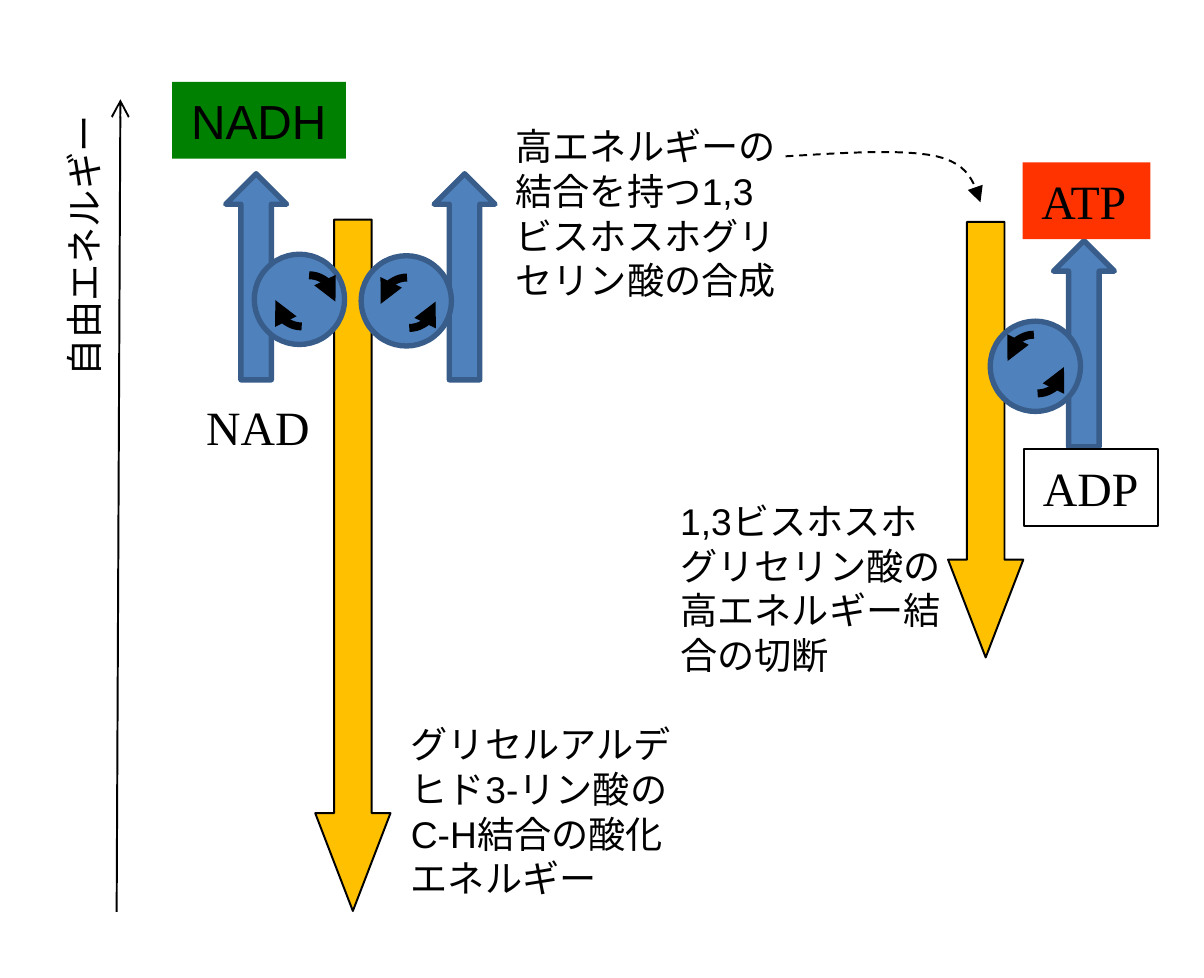
"""Build a slide on free energy coupling between NADH, ATP and glycolysis."""
from lxml import etree
from pptx import Presentation
from pptx import util as u
from pptx.dml.color import RGBColor
from pptx.enum import dml, lang, shapes, text
from pptx.oxml import ns

BLACK = RGBColor(0x00, 0x00, 0x00)
BLUE = RGBColor(0x4F, 0x81, 0xBD)
NAVY = RGBColor(0x38, 0x5D, 0x8A)
AMBER = RGBColor(0xFF, 0xC0, 0x00)
GREEN = RGBColor(0x00, 0x80, 0x00)
RED = RGBColor(0xFF, 0x33, 0x00)

SLIDE_SIZE = (16, 13)
AXIS = ((1.55, 12.12), (1.6, 1.32))
AXIS_TITLE = ("自由エネルギー", -1.08, 2.62, 4.4, 0.86)

RISE_SIZE = (0.81, 2.74)
RISES = [(14, 3.2), (3, 2.31), (5.77, 2.31)]
DROPS = [(4.19, 2.92, 1, 9.19), (12.6, 2.95, 1, 5.79)]

WHEEL_RADIUS = 0.6
ARC_RADIUS = 0.35
WHEELS = [
    {"center": (3.98, 3.98), "upper": (4.11, 4.01), "lower": (4.01, 3.99), "clockwise": True},
    {"center": (5.4, 4), "upper": (5.41, 4.04), "lower": (5.44, 4.01), "clockwise": False},
    {"center": (13.76, 4.87), "upper": (13.74, 4.8), "lower": (13.79, 4.88), "clockwise": False},
]

NOTE_SIZE = (3.99, 2.64)
NOTES = [
    ("グリセルアルデヒド3-リン酸のC-H結合の酸化エネルギー", 5.21, 9.47),
    ("高エネルギーの結合を持つ1,3ビスホスホグリセリン酸の合成", 6.6, 1.52),
    ("1,3ビスホスホグリセリン酸の高エネルギー結合の切断", 8.79, 6.5),
]

LABEL_HEIGHT = 1.02
LABELS = [
    ("NADH", "Arial", 2.29, 1.09, 2.31, GREEN, None),
    ("NAD", "Times New Roman", 2.49, 5.16, 1.88, None, None),
    ("ADP", "Times New Roman", 13.61, 5.97, 1.78, None, BLACK),
    ("ATP", "Times New Roman", 13.59, 2.16, 1.7, RED, None),
]

POINTER = [
    ((10.44, 2.08), (11.23, 2.03), (12.01, 1.98), (12.45, 2.08)),
    ((12.45, 2.08), (12.88, 2.18), (12.95, 2.44), (13.03, 2.69)),
]
POINTER_STEPS = 12

NOTE_FONT = {"name": "Arial", "size": u.Pt(14)}
COMMON_FONT = {"language_id": lang.MSO_LANGUAGE_ID.JAPANESE}


def lengths(*values):
    return [u.Cm(value) for value in values]


def set_line(shape, color, width):
    shape.line.color.rgb = color
    shape.line.width = u.Pt(width)


def add_arrowhead(shape, end, kind):
    line = shape.line._get_or_add_ln()
    etree.SubElement(line, ns.qn(f"a:{end}"), type=kind)


def add_figure(slide, kind, box, fill, color, width, adjustments=()):
    shape = slide.shapes.add_shape(kind, *lengths(*box))
    shape.shadow.inherit = False
    for index, value in enumerate(adjustments):
        shape.adjustments[index] = value
    if fill is None:
        shape.fill.background()
    else:
        shape.fill.solid()
        shape.fill.fore_color.rgb = fill
    set_line(shape, color, width)
    return shape


def add_text(slide, content, box, font, wrap=True):
    shape = slide.shapes.add_textbox(*lengths(*box))
    frame = shape.text_frame
    frame.word_wrap = wrap
    frame.auto_size = text.MSO_AUTO_SIZE.SHAPE_TO_FIT_TEXT
    run = frame.paragraphs[0].add_run()
    run.text = content
    for name, value in {**COMMON_FONT, **font}.items():
        setattr(run.font, name, value)
    run.font.color.rgb = BLACK
    return shape


def around(center, radius):
    return (center[0] - radius, center[1] - radius, 2 * radius, 2 * radius)


def add_wheel(slide, wheel):
    kinds = shapes.MSO_SHAPE
    add_figure(slide, kinds.OVAL, around(wheel["center"], WHEEL_RADIUS), BLUE, NAVY, 2)
    clockwise = wheel["clockwise"]
    starts = {"upper": 270 if clockwise else 180, "lower": 90 if clockwise else 0}
    for part, start in starts.items():
        angles = [degrees * 0.6 for degrees in (start, (start + 90) % 360)]
        arc = add_figure(slide, kinds.ARC, around(wheel[part], ARC_RADIUS),
                         None, BLACK, 3, angles)
        add_arrowhead(arc, "tailEnd" if clockwise else "headEnd", "triangle")


def bezier_point(curve, t):
    weights = ((1 - t) ** 3, 3 * t * (1 - t) ** 2, 3 * t ** 2 * (1 - t), t ** 3)
    return tuple(u.Cm(sum(w * point[axis] for w, point in zip(weights, curve)))
                 for axis in (0, 1))


def add_pointer(slide):
    points = [bezier_point(curve, step / POINTER_STEPS)
              for curve in POINTER for step in range(1, POINTER_STEPS + 1)]
    builder = slide.shapes.build_freeform(*lengths(*POINTER[0][0]))
    builder.add_line_segments(points, close=False)
    pointer = builder.convert_to_shape()
    pointer.shadow.inherit = False
    pointer.fill.background()
    set_line(pointer, BLACK, 0.75)
    pointer.line.dash_style = dml.MSO_LINE.DASH
    add_arrowhead(pointer, "tailEnd", "triangle")


def add_axis(slide):
    start, end = AXIS
    axis = slide.shapes.add_connector(shapes.MSO_CONNECTOR.STRAIGHT, *lengths(*start, *end))
    set_line(axis, BLACK, 0.75)
    add_arrowhead(axis, "tailEnd", "arrow")
    etree.SubElement(axis._element.spPr, ns.qn("a:effectLst"))
    title, *box = AXIS_TITLE
    add_text(slide, title, box, NOTE_FONT).rotation = 270


def main():
    presentation = Presentation()
    presentation.slide_width, presentation.slide_height = lengths(*SLIDE_SIZE)
    slide = presentation.slides.add_slide(presentation.slide_layouts[6])
    for place in RISES:
        add_figure(slide, shapes.MSO_SHAPE.UP_ARROW, (*place, *RISE_SIZE),
                   BLUE, NAVY, 2, (0.5, 0.5))
    for box in DROPS:
        add_figure(slide, shapes.MSO_SHAPE.DOWN_ARROW, box, AMBER, BLACK, 0.75, (0.5, 1.3))
    add_axis(slide)
    for wheel in WHEELS:
        add_wheel(slide, wheel)
    for content, left, top in NOTES:
        add_text(slide, content, (left, top, *NOTE_SIZE), NOTE_FONT)
    for content, name, left, top, width, fill, outline in LABELS:
        label = add_text(slide, content, (left, top, width, LABEL_HEIGHT),
                         {"name": name, "size": u.Pt(18)}, wrap=False)
        if fill is not None:
            label.fill.solid()
            label.fill.fore_color.rgb = fill
        if outline is not None:
            set_line(label, outline, 0.75)
    add_pointer(slide)
    presentation.save("out.pptx")


if __name__ == "__main__":
    main()
